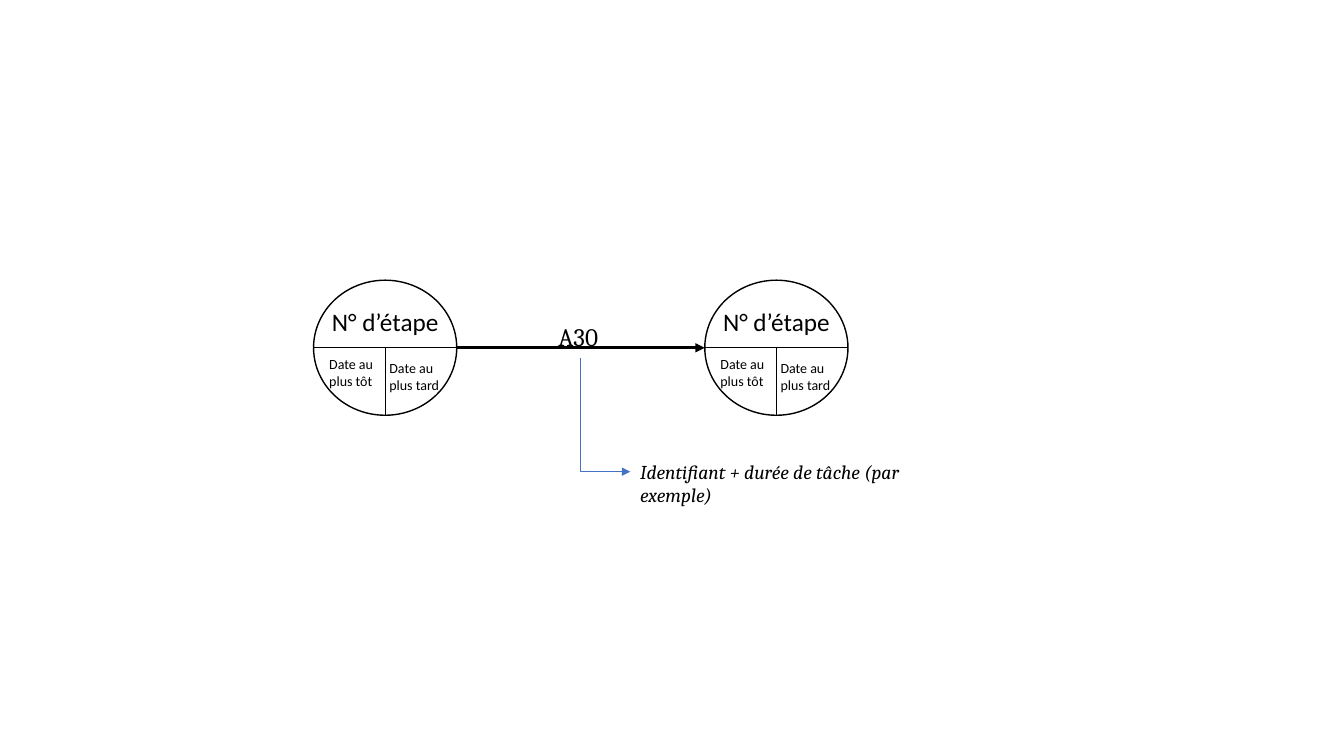
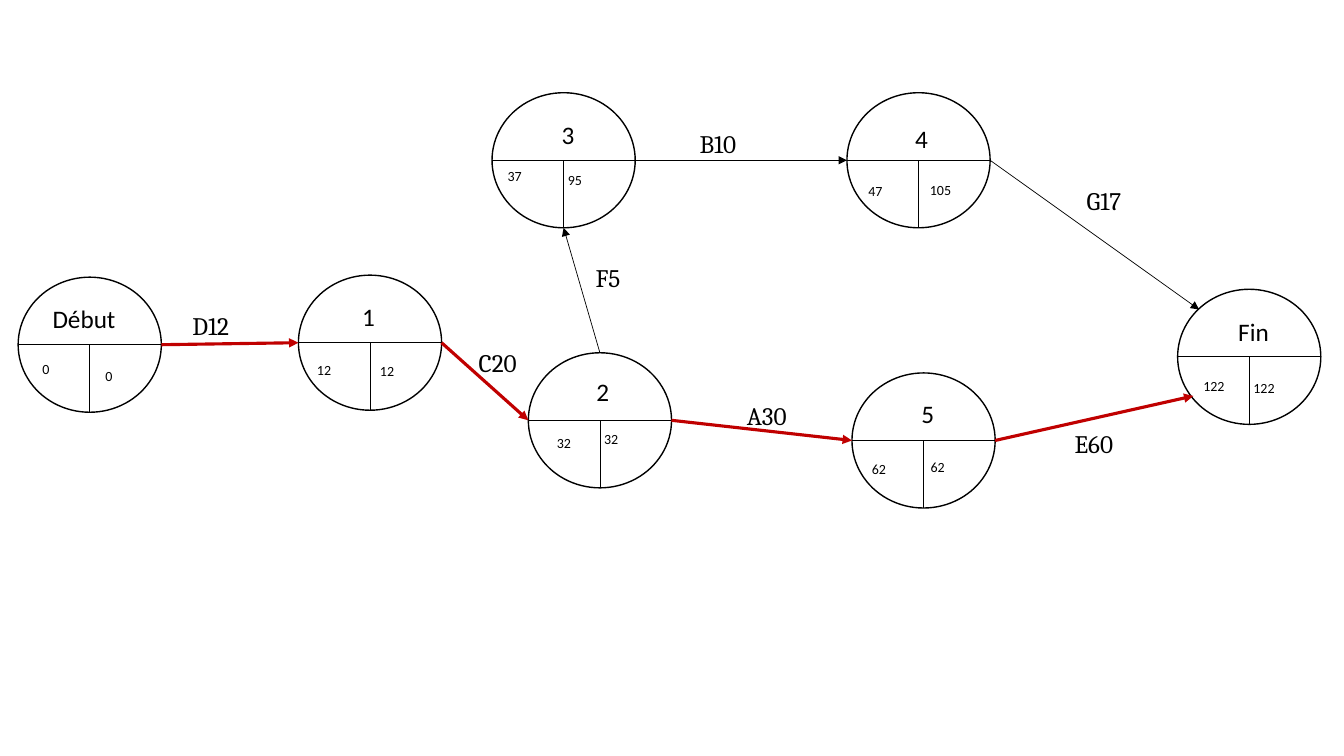
import pptx
import pptx.util
import pptx.dml.color
import pptx.enum.shapes
import pptx.enum.text
from collections import namedtuple
from lxml import etree

BLACK = pptx.dml.color.RGBColor(0x00, 0x00, 0x00)
RED = pptx.dml.color.RGBColor(0xC0, 0x00, 0x00)
BLUE = pptx.dml.color.RGBColor(0x44, 0x72, 0xC4)
THIN, OUTLINE, THICK = 0.5, 1, 2.25
SHAPE = pptx.enum.shapes.MSO_SHAPE
CONNECTOR = pptx.enum.shapes.MSO_CONNECTOR
LEFT, CENTER = pptx.enum.text.PP_ALIGN.LEFT, pptx.enum.text.PP_ALIGN.CENTER

# Slide grid: ten cells to the inch
CELL = pptx.util.Inches(0.1)
COLS, ROWS = 133.3, 75
NODE_W, NODE_H = 14.2, 13.4

# Connection points, as shares of a node's box
PORTS = {"left": (0, 0.5), "right": (1, 0.5), "top": (0.5, 0), "bottom": (0.5, 1),
         "upper left": (0.15, 0.15), "lower left": (0.11, 0.79)}

# at: grid position; name_at: top centre of the name; early_at, late_at: top left
# of the two dates. The last three are shares of the node's box.
Node = namedtuple("Node", "at name early late name_at early_at late_at",
                  defaults=[(0.5, 0.16), (0.04, 0.52), (0.46, 0.55)])
# text_at: grid position of the task label
Task = namedtuple("Task", "start start_port end end_port text text_at color width")

STEP_TEXTS = ("N° d’étape", "Date au plus tôt", "Date au plus tard")
LEGEND_NODES = {
    "from": Node((31.1, 27.8), *STEP_TEXTS),
    "to": Node((69.9, 27.8), *STEP_TEXTS),
}
LEGEND_TASKS = [
    Task("from", "right", "to", "left", "A30", (54.4, 31.4), BLACK, THICK),
]

NETWORK_NODES = {n.name: n for n in [
    Node((1.8, 27.5), "Début", "0", "0", (0.46, 0.16), (0.1, 0.58), (0.54, 0.63)),
    Node((29.6, 27.3), "1", "12", "12", (0.49, 0.16), (0.06, 0.6), (0.5, 0.61)),
    Node((52.4, 35), "2", "32", "32", (0.52, 0.14), (0.13, 0.57), (0.46, 0.54)),
    Node((48.8, 9.2), "3", "37", "95", (0.53, 0.16)),
    Node((84, 9.2), "4", "47", "105", (0.52, 0.19), (0.08, 0.63), (0.51, 0.62)),
    Node((84.5, 37), "5", "62", "62", (0.53, 0.15), (0.07, 0.61), (0.48, 0.6)),
    Node((116.8, 28.7), "Fin", "122", "122", (0.53, 0.16), (0.11, 0.62), (0.46, 0.63)),
]}
NETWORK_TASKS = [
    Task("Début", "right", "1", "left", "D12", (18.1, 30.3), RED, THICK),
    Task("1", "right", "2", "left", "C20", (46.5, 34), RED, THICK),
    Task("2", "right", "5", "left", "A30", (73.1, 39.2), RED, THICK),
    Task("5", "right", "Fin", "lower left", "E60", (105.6, 42), RED, THICK),
    Task("2", "top", "3", "bottom", "F5", (58.1, 25.5), BLACK, THIN),
    Task("3", "right", "4", "left", "B10", (68.4, 12.2), BLACK, THIN),
    Task("4", "right", "Fin", "upper left", "G17", (106.8, 17.9), BLACK, THIN),
]


def grid(*cells):
    return [round(c * CELL) for c in cells]


def point(at, share):
    """Grid position of a share of the node's box."""
    return at[0] + share[0] * NODE_W, at[1] + share[1] * NODE_H


def add_text(s, at, size, text, points, font="Cambria", align=LEFT, italic=False):
    tf = s.shapes.add_textbox(*grid(*at, *size)).text_frame
    tf.word_wrap = True
    p = tf.paragraphs[0]
    p.text, p.alignment = text, align
    p.font.name, p.font.size = font, pptx.util.Pt(points)
    p.font.color.rgb, p.font.italic = BLACK, italic


def add_line(s, start, end, color=BLACK, width=THIN, arrow=False, kind=CONNECTOR.STRAIGHT):
    line = s.shapes.add_connector(kind, *grid(*start, *end))
    line.line.color.rgb, line.line.width = color, pptx.util.Pt(width)
    props = line.element.spPr
    if arrow:
        ln = line.line._get_or_add_ln()
        etree.SubElement(ln, pptx.oxml.ns.qn("a:tailEnd"), type="triangle")
    etree.SubElement(props, pptx.oxml.ns.qn("a:effectLst"))
    return line


def add_elbow(s, start, end):
    """Arrow that runs down from start, then right to end."""
    mid_x, mid_y = (start[0] + end[0]) / 2, (start[1] + end[1]) / 2
    half_run, half_drop = (end[0] - start[0]) / 2, (end[1] - start[1]) / 2
    # The box lies on its side, mirrored, and is turned by three quarters
    line = add_line(s, (mid_x + half_drop, mid_y - half_run),
                    (mid_x - half_drop, mid_y + half_run),
                    BLUE, THIN, True, CONNECTOR.ELBOW)
    props = line.element.spPr
    props.find(pptx.oxml.ns.qn("a:xfrm")).set("rot", str(270 * 60000))
    props.find(pptx.oxml.ns.qn("a:prstGeom")).set("prst", "bentConnector2")


def add_node(s, node):
    circle = s.shapes.add_shape(SHAPE.OVAL, *grid(*node.at, NODE_W, NODE_H))
    circle.shadow.inherit = False
    circle.fill.background()
    circle.line.color.rgb, circle.line.width = BLACK, pptx.util.Pt(OUTLINE)
    # Dividers
    add_line(s, point(node.at, PORTS["left"]), point(node.at, PORTS["right"]))
    add_line(s, point(node.at, (0.5, 0.5)), point(node.at, PORTS["bottom"]))
    # Name above, dates below
    x, y = point(node.at, node.name_at)
    add_text(s, (x - NODE_W / 2, y), (NODE_W, 4), node.name, 18, "Calibri", CENTER)
    for text, share in ((node.early, node.early_at), (node.late, node.late_at)):
        add_text(s, point(node.at, share), (NODE_W / 2, 2.7), text, 10, "Calibri")


def add_diagram(prs, nodes, tasks):
    s = prs.slides.add_slide(prs.slide_layouts[6])
    for node in nodes.values():
        add_node(s, node)
    for t in tasks:
        add_line(s, point(nodes[t.start].at, PORTS[t.start_port]),
                 point(nodes[t.end].at, PORTS[t.end_port]), t.color, t.width, True)
        add_text(s, t.text_at, (7, 4), t.text, 18)
    return s


def main():
    prs = pptx.Presentation()
    prs.slide_width, prs.slide_height = grid(COLS, ROWS)

    # Legend, with a note on the task label
    s = add_diagram(prs, LEGEND_NODES, LEGEND_TASKS)
    add_text(s, (62.5, 45.1), (34, 5.8), "Identifiant + durée de tâche (par exemple)", 14, italic=True)
    add_elbow(s, (57.6, 35.5), (62.5, 46.8))

    # Network with its critical path
    add_diagram(prs, NETWORK_NODES, NETWORK_TASKS)
    prs.save("out.pptx")


if __name__ == "__main__":
    main()
